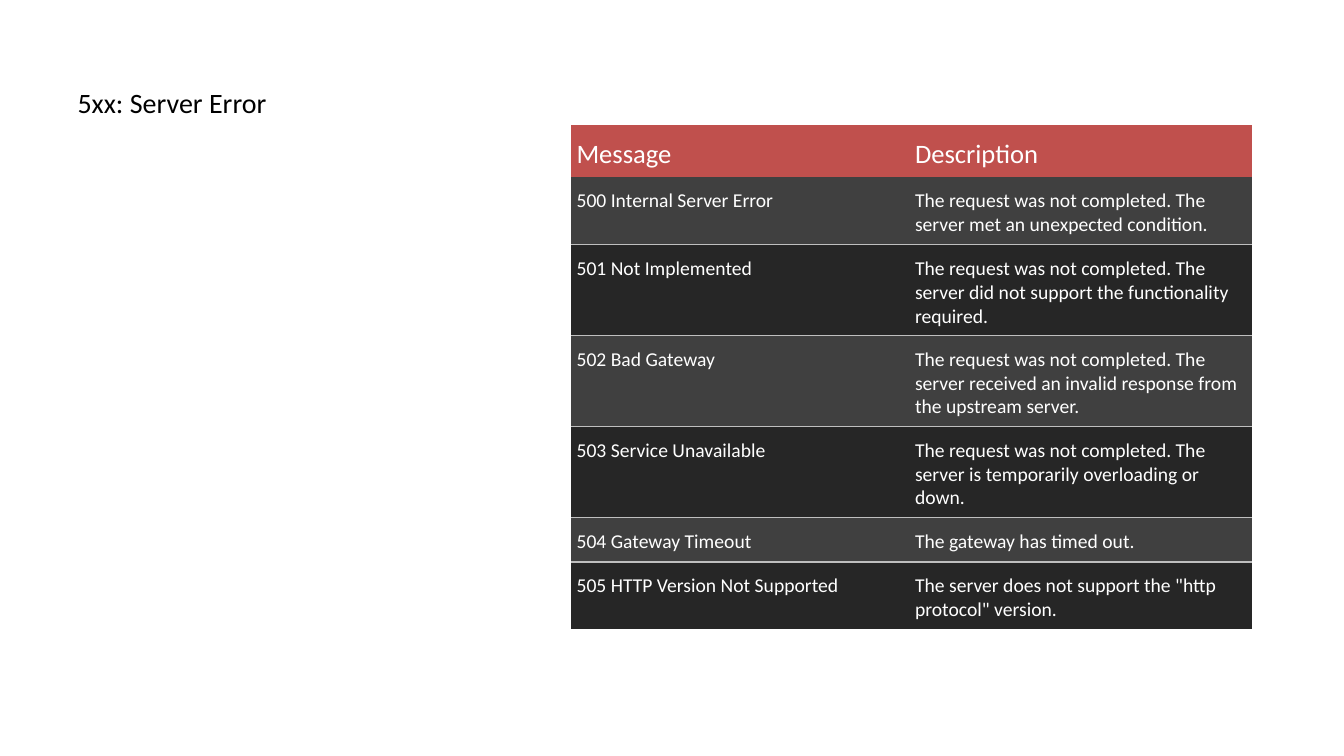
from lxml import etree
from pptx import Presentation
from pptx import util as u
from pptx.dml.color import RGBColor
from pptx.enum import text
from pptx.oxml import ns

FONT = "Calibri"
BLACK = RGBColor(0x00, 0x00, 0x00)
WHITE = RGBColor(0xFF, 0xFF, 0xFF)
RED = RGBColor(0xC0, 0x50, 0x4D)
GREY = RGBColor(0x40, 0x40, 0x40)
DARK = RGBColor(0x26, 0x26, 0x26)
RULE = RGBColor(0xBF, 0xBF, 0xBF)
PLAIN = "{2D5ABB26-0587-4C30-8999-92F81FD0307C}"  # no style, no grid

COLS = (8.53, 8.61)
# Row height in cm, message, description
ROWS = (
    (1.32, "Message", "Description"),
    (1.7, "500 Internal Server Error",
     "The request was not completed. The server met an unexpected condition."),
    (2.29, "501 Not Implemented",
     "The request was not completed. The server did not support the "
     "functionality required."),
    (2.29, "502 Bad Gateway",
     "The request was not completed. The server received an invalid response "
     "from the upstream server."),
    (2.29, "503 Service Unavailable",
     "The request was not completed. The server is temporarily overloading "
     "or down."),
    (1.12, "504 Gateway Timeout", "The gateway has timed out."),
    (1.7, "505 HTTP Version Not Supported",
     'The server does not support the "http protocol" version.'),
)


def style(frame, size, color):
    for par in frame.paragraphs:
        par.alignment = text.PP_ALIGN.LEFT
        for run in par.runs:
            run.font.name = FONT
            run.font.size = u.Pt(size)
            run.font.color.rgb = color


def set_title(slide, words):
    box = slide.shapes.title
    box.left, box.top = u.Cm(1.7), u.Cm(0.76)
    box.width, box.height = u.Cm(11.15), u.Cm(3.23)
    frame = box.text_frame
    frame.text = words
    frame.word_wrap = True
    frame.auto_size = text.MSO_AUTO_SIZE.NONE
    frame.vertical_anchor = text.MSO_ANCHOR.BOTTOM
    frame.margin_bottom = u.Cm(0.98)
    style(frame, 20, BLACK)


def add_edge(cell, tag):
    line = etree.Element(ns.qn(tag), w=str(u.Pt(1)))
    fill = etree.SubElement(line, ns.qn("a:solidFill"))
    etree.SubElement(fill, ns.qn("a:srgbClr"), val=str(RULE))
    # Edges must come before the fill
    cell._tc.get_or_add_tcPr().insert(0, line)


def set_cell(cell, words, row):
    head = row == 0
    light = row % 2 == 1
    cell.text = words
    cell.margin_left = cell.margin_right = cell.margin_bottom = u.Cm(0.13)
    cell.margin_top = u.Cm(0.3)
    cell.vertical_anchor = (text.MSO_ANCHOR.MIDDLE if head
                            else text.MSO_ANCHOR.TOP)
    cell.fill.solid()
    cell.fill.fore_color.rgb = RED if head else GREY if light else DARK
    style(cell.text_frame, 19 if head else 14, WHITE)
    # A rule parts each light row from the dark row below it
    if not head:
        add_edge(cell, "a:lnB" if light else "a:lnT")


def add_grid(slide):
    high = sum(row[0] for row in ROWS)
    frame = slide.shapes.add_table(len(ROWS), len(COLS), u.Cm(14.4),
                                   u.Cm(3.15), u.Cm(sum(COLS)), u.Cm(high))
    table = frame.table
    table._tbl.tblPr.find(ns.qn("a:tableStyleId")).text = PLAIN
    for col, wide in zip(table.columns, COLS):
        col.width = u.Cm(wide)
    for r, (tall, *cells) in enumerate(ROWS):
        table.rows[r].height = u.Cm(tall)
        for c, words in enumerate(cells):
            set_cell(table.cell(r, c), words, r)


def main():
    deck = Presentation()
    deck.slide_width, deck.slide_height = u.Cm(33.87), u.Cm(19.05)
    slide = deck.slides.add_slide(deck.slide_layouts[5])  # title only
    set_title(slide, "5xx: Server Error")
    add_grid(slide)
    deck.save("out.pptx")


if __name__ == "__main__":
    main()
